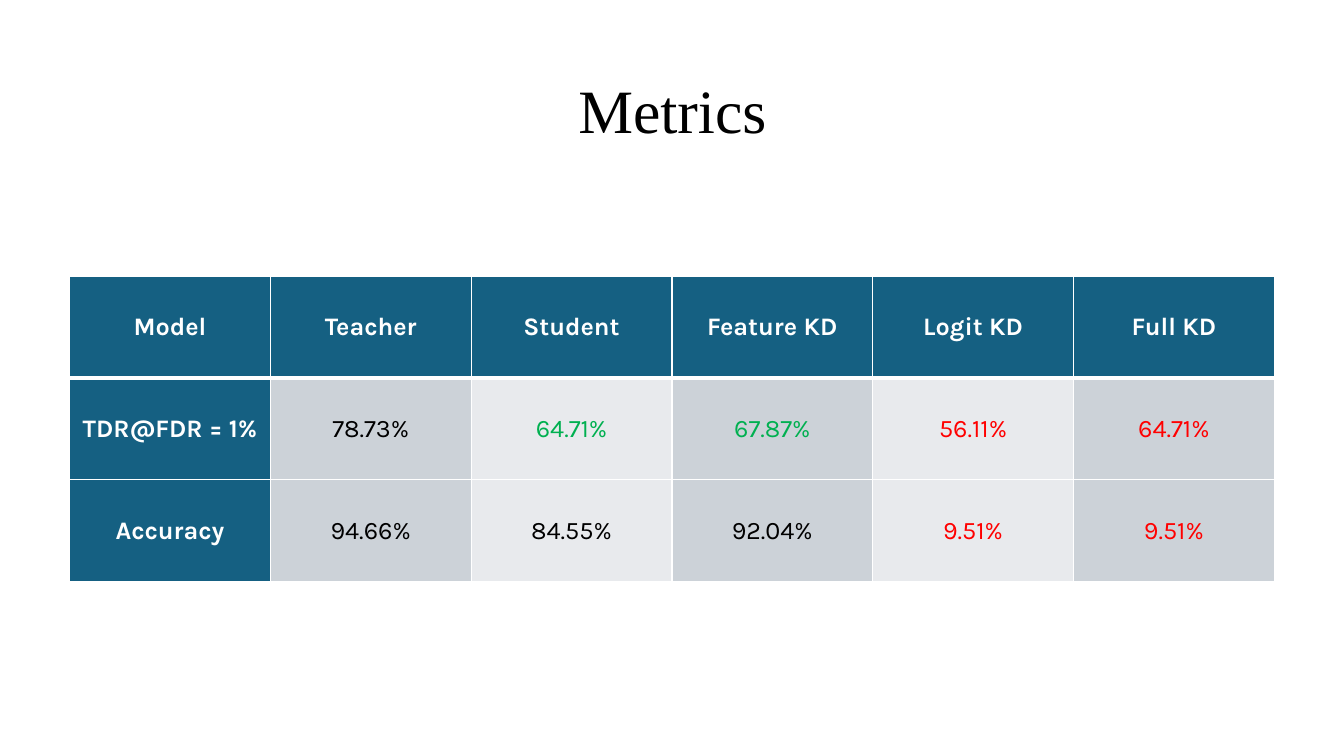
from dataclasses import dataclass

from lxml.etree import SubElement
from pptx import Presentation
from pptx.dml.color import RGBColor
from pptx.enum.text import MSO_ANCHOR, PP_ALIGN
from pptx.oxml.ns import qn
from pptx.util import Inches, Pt


@dataclass(frozen=True)
class Theme:
    title_font: str = "Times New Roman"
    table_font: str = "Karla"
    title_size: int = 44
    table_size: int = 18
    black: str = "000000"
    white: str = "FFFFFF"
    green: str = "00B050"
    red: str = "FF0000"
    header: str = "156082"
    bands: tuple[str, str] = ("CCD2D8", "E8EAED")


@dataclass(frozen=True)
class Entry:
    text: str
    color: str
    bold: bool = False


THEME = Theme()


def head(text: str) -> Entry:
    return Entry(text, THEME.white, True)


MODELS = ["Model", "Teacher", "Student", "Feature KD", "Logit KD", "Full KD"]
ROWS = [
    [head(model) for model in MODELS],
    [
        head("TDR@FDR = 1%"),
        Entry("78.73%", THEME.black),
        Entry("64.71%", THEME.green),
        Entry("67.87%", THEME.green),
        Entry("56.11%", THEME.red),
        Entry("64.71%", THEME.red),
    ],
    [
        head("Accuracy"),
        Entry("94.66%", THEME.black),
        Entry("84.55%", THEME.black),
        Entry("92.04%", THEME.black),
        Entry("9.51%", THEME.red),
        Entry("9.51%", THEME.red),
    ],
]


def write(tf, entry: Entry, font: str, size: int) -> None:
    tf.word_wrap = True
    p = tf.paragraphs[0]
    p.alignment = PP_ALIGN.CENTER
    r = p.add_run()
    r.text = entry.text
    for name, value in {"name": font, "size": Pt(size), "bold": entry.bold}.items():
        setattr(r.font, name, value)
    r.font.color.rgb = RGBColor.from_string(entry.color)


def add_borders(cell, widths: dict[str, int], color: str) -> None:
    tc_pr = cell._tc.get_or_add_tcPr()
    for side, width in widths.items():
        line = SubElement(tc_pr, qn(f"a:ln{side}"), w=str(Pt(width)))
        fill = SubElement(line, qn("a:solidFill"))
        SubElement(fill, qn("a:srgbClr"), val=color)


def add_title(s, entry: Entry) -> None:
    tf = s.shapes.add_textbox(Inches(0.92), Inches(0.4), Inches(11.5), Inches(1.45)).text_frame
    tf.vertical_anchor = MSO_ANCHOR.MIDDLE
    write(tf, entry, THEME.title_font, THEME.title_size)
    tf.paragraphs[0].line_spacing = 0.9


def add_metrics(s, rows: list[list[Entry]]) -> None:
    table = s.shapes.add_table(
        len(rows), len(rows[0]), Inches(0.69), Inches(2.74), Inches(11.95), Inches(3.03)
    ).table
    table.first_col = True
    for i, row in enumerate(rows):
        widths = {"L": 1, "R": 1, "T": 3 if i == 1 else 1, "B": 3 if i == 0 else 1}
        for j, entry in enumerate(row):
            cell = table.cell(i, j)
            cell.vertical_anchor = MSO_ANCHOR.MIDDLE
            add_borders(cell, widths, THEME.white)
            color = THEME.header if i == 0 or j == 0 else THEME.bands[(j - 1) % 2]
            cell.fill.solid()
            cell.fill.fore_color.rgb = RGBColor.from_string(color)
            write(cell.text_frame, entry, THEME.table_font, THEME.table_size)


def main() -> None:
    prs = Presentation()
    prs.slide_width, prs.slide_height = Inches(13.33), Inches(7.5)
    s = prs.slides.add_slide(prs.slide_layouts[6])
    add_title(s, Entry("Metrics", THEME.black))
    add_metrics(s, ROWS)
    prs.save("out.pptx")


if __name__ == "__main__":
    main()
